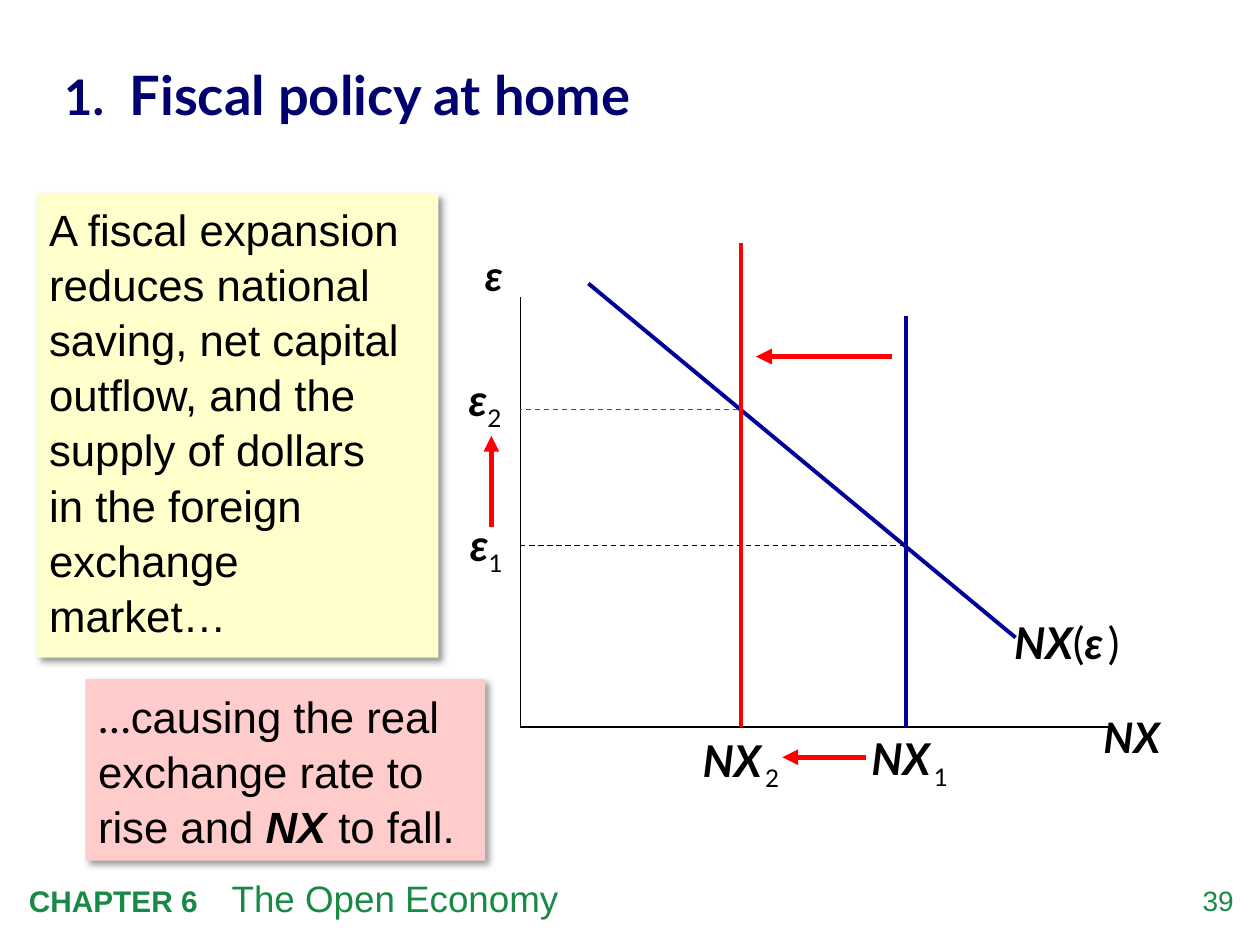
from dataclasses import dataclass
from lxml.etree import SubElement as Sub
from pptx import Presentation
from pptx.dml.color import RGBColor as RGB
from pptx.enum.dml import MSO_LINE as Dash
from pptx.enum.shapes import MSO_CONNECTOR as Conn, MSO_SHAPE as Shape
from pptx.enum.text import MSO_ANCHOR as Anchor, MSO_AUTO_SIZE as Fit, PP_ALIGN as Align
from pptx.oxml.ns import qn
from pptx.util import Inches, Pt


@dataclass
class Theme:
    black: str = "000000"
    navy: str = "00006E"
    blue: str = "000099"
    red: str = "FF0000"
    green: str = "198A46"
    cream: str = "FFFFCC"
    pink: str = "FFCCCC"
    sans: str = "Arial"
    lato: str = "Lato"
    title: int = 31
    count: int = 28
    body: int = 25
    axis: int = 24
    foot: int = 21
    chapter: int = 17
    page: int = 16
    gap: int = 12
    thin: int = 8


look = Theme()


def write(shape, runs, font, color, align=Align.LEFT, space=1, pad=(0.1, 0.05, 0.1, 0.05), tab=None):
    """Fill a shape with one paragraph of (text, size, style) runs.

    Style letters: b bold, i italic, s subscript, m the Lato font.
    """
    frame = shape.text_frame
    frame.word_wrap = True
    frame.auto_size = Fit.NONE
    frame.vertical_anchor = Anchor.TOP
    frame.margin_left, frame.margin_top, frame.margin_right, frame.margin_bottom = map(Inches, pad)
    para = frame.paragraphs[0]
    props = para._p.get_or_add_pPr()
    if tab:
        stops = Sub(props, qn("a:tabLst"))
        Sub(stops, qn("a:tab"), pos=str(Inches(tab)), algn="l")
    para.alignment = align
    para.line_spacing = space
    para.space_before = Pt(0)
    for text, size, style in runs:
        if text == "\n":
            para.add_line_break()
            continue
        run = para.add_run()
        run.text = text
        run.font.size = Pt(size)
        run.font.name = look.lato if "m" in style else font
        run.font.color.rgb = RGB.from_string(color)
        run.font.bold = "b" in style
        run.font.italic = "i" in style
        if "s" in style:
            run.font._element.set("baseline", "-25000")


def draw(x1, y1, x2, y2, color, width, dash=False, arrow=False):
    """Draw a straight line, with an optional arrowhead at its end."""
    line = slide.shapes.add_connector(Conn.STRAIGHT, *map(Inches, (x1, y1, x2, y2)))
    line.line.color.rgb = RGB.from_string(color)
    line.line.width = Pt(width)
    if dash:
        line.line.dash_style = Dash.DASH
    if arrow:
        Sub(line.line._get_or_add_ln(), qn("a:tailEnd"), type="triangle")
    Sub(line._element.spPr, qn("a:effectLst"))


deck = Presentation()
deck.slide_width, deck.slide_height = Inches(10), Inches(7.5)
slide = deck.slides.add_slide(deck.slide_layouts[1])
shapes = slide.shapes

# Footer
page = shapes.add_textbox(*map(Inches, (9.24, 7.01, 0.55, 0.32)))
write(page, [("39", look.page, "")], look.sans, look.green, Align.RIGHT, pad=(0, 0, 0, 0))
foot = shapes.add_textbox(*map(Inches, (0.13, 6.9, 8.18, 0.45)))
write(foot, [("CHAPTER 6", look.chapter, "b"), ("\tThe Open Economy", look.foot, "")],
      look.sans, look.green, tab=1.61)

# Title
title = shapes.title
title.left, title.top, title.width, title.height = map(Inches, (0.51, 0.26, 9.02, 1.03))
write(title, [("1.", look.count, "b"), ("\tFiscal policy at home", look.title, "b")],
      look.lato, look.navy, space=0.9, pad=(0, 0, 0, 0), tab=0.52)
title.text_frame.vertical_anchor = Anchor.MIDDLE

# Commentary boxes
body = slide.placeholders[1]
body.left, body.top, body.width, body.height = map(Inches, (0.29, 1.54, 3.19, 3.68))
bare = body.text_frame.paragraphs[0]._p.get_or_add_pPr()
bare.set("marL", "0")
bare.set("indent", "0")
Sub(bare, qn("a:buNone"))
note = shapes.add_shape(Shape.RECTANGLE, *map(Inches, (0.68, 5.39, 3.17, 1.44)))
note.line.fill.background()
cause = [
    ("A fiscal expansion reduces national saving, net capital outflow, and the supply of dollars ",
     look.body, ""),
    ("\n", 0, ""),
    ("in the foreign exchange market…", look.body, ""),
]
effect = [
    ("…", look.body, "m"),
    ("causing the real exchange rate to rise and ", look.body, ""),
    ("NX", look.body, "bi"),
    (" to fall.", look.body, ""),
]
for box, fill, runs in ((body, look.cream, cause), (note, look.pink, effect)):
    box.fill.solid()
    box.fill.fore_color.rgb = RGB.from_string(fill)
    write(box, runs, look.sans, look.black, space=1.05)
    effects = Sub(box._element.spPr, qn("a:effectLst"))
    shade = Sub(effects, qn("a:outerShdw"), blurRad=str(Pt(4)), dist=str(Pt(3)),
                dir="2700000", algn="tl", rotWithShape="0")
    tint = Sub(shade, qn("a:srgbClr"), val=look.black)
    Sub(tint, qn("a:alpha"), val="40000")
note.text_frame.vertical_anchor = Anchor.MIDDLE

# Axes, demand curve and first supply line
left, base = 4.13, 5.77
draw(left, 2.36, left, base, look.black, 1)
draw(left, base, 8.79, base, look.black, 1)
draw(4.67, 2.25, 8.06, 5.06, look.blue, 2.25)
draw(7.19, base, 7.19, 2.51, look.blue, 2.25)
draw(7.18, 4.33, left, 4.33, look.black, 0.75, dash=True)

# Second supply line and its rate
draw(5.88, base, 5.88, 1.93, look.red, 2.25)
draw(5.86, 3.25, left, 3.25, look.red, 0.75, dash=True)

# Shift arrows
for ends in ((7.08, 2.83, 6, 2.83), (3.9, 4.18, 3.9, 3.46), (6.87, 6.01, 6.21, 6.01)):
    draw(*ends, look.red, 3, arrow=True)

# Axis and curve names
for x, y, text in ((3.75, 1.93, "ε"), (8.66, 5.6, "NX")):
    name = shapes.add_textbox(*map(Inches, (x, y, 0.76, 0.5)))
    write(name, [(text, look.axis, "bi")], look.lato, look.black)
curve = shapes.add_textbox(*map(Inches, (7.95, 4.84, 1.29, 0.52)))
write(curve, [("NX", look.body, "bi"), ("(", look.body, ""), ("ε", look.body, "bi"),
              (" ", look.gap, "bi"), (")", look.body, "")],
      look.lato, look.black, pad=(0.1, 0.05, 0, 0.05))

# Labels with subscripts
for x, y, wide, text, sub in (
    (3.61, 4.11, 0.5, "ε", "1"),
    (3.6, 2.96, 0.5, "ε", "2"),
    (6.76, 5.81, 0.92, "NX", "1"),
    (5.42, 5.82, 0.92, "NX", "2"),
):
    runs = [(text, look.body, "bi"), (sub, look.axis, "s")]
    if text == "NX":
        runs.insert(1, (" ", look.thin, ""))
    label = shapes.add_textbox(*map(Inches, (x, y, wide, 0.47)))
    write(label, runs, look.lato, look.black, Align.CENTER, pad=(0, 0, 0, 0.05))

deck.save("out.pptx")
